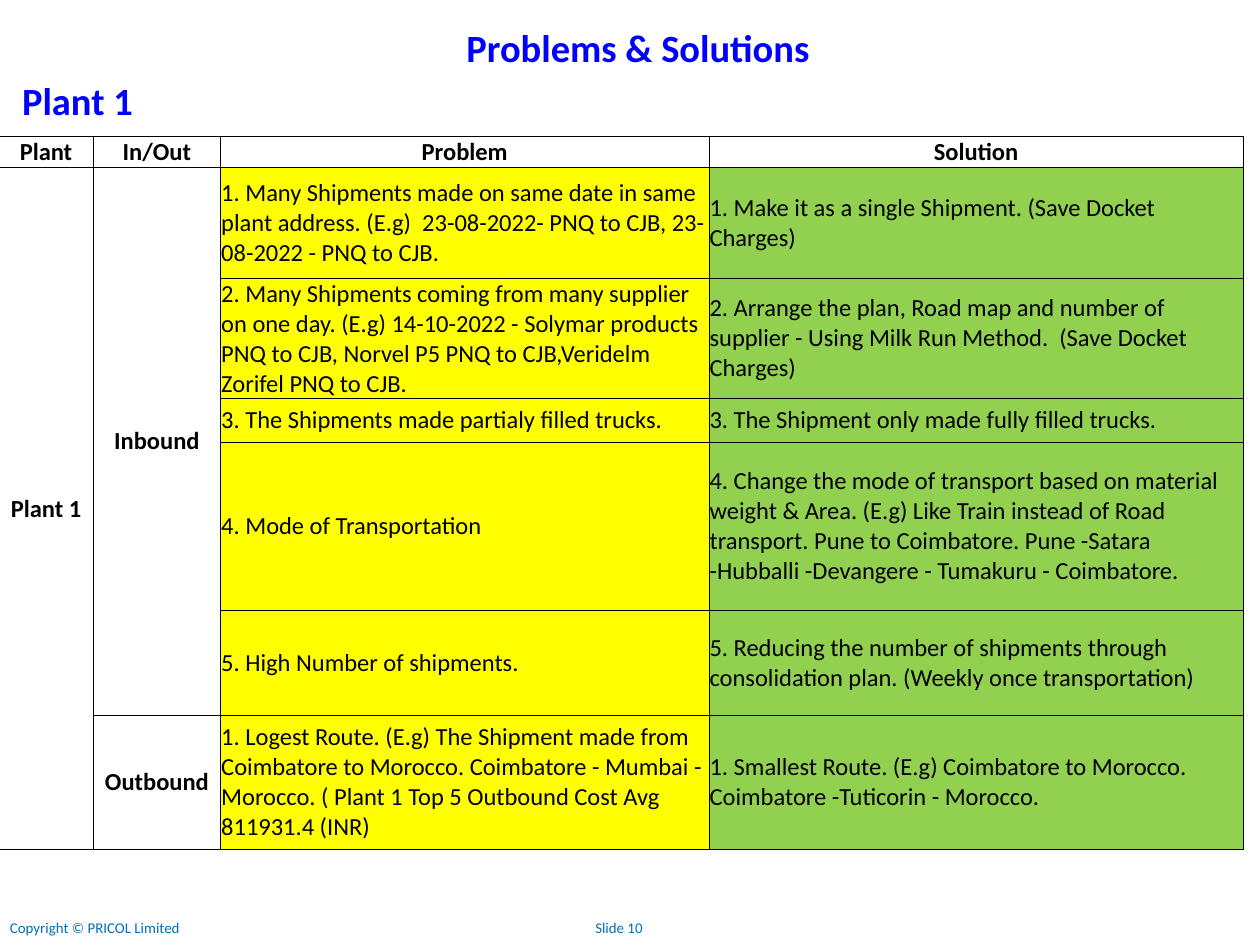
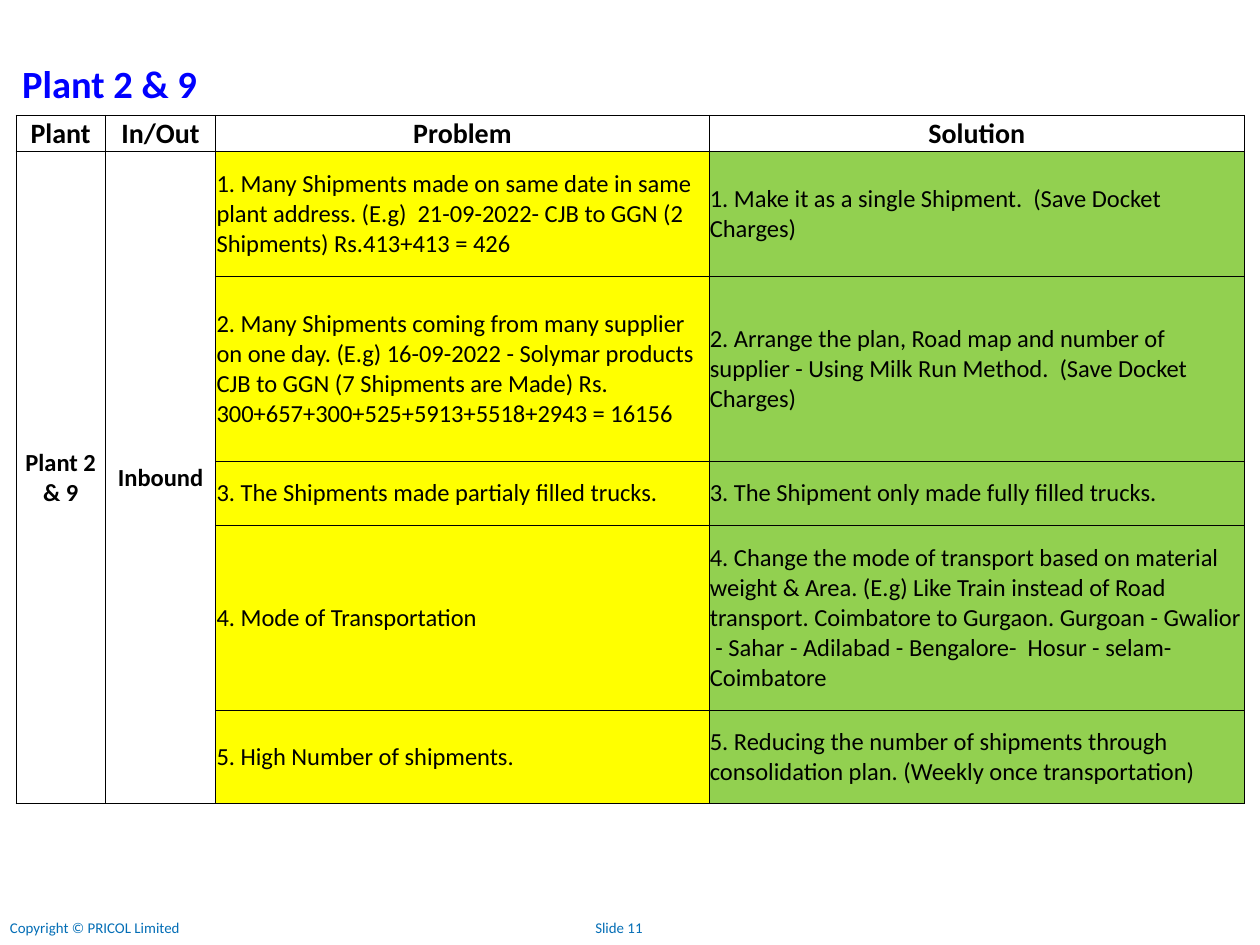
"""Build the two slides of plant shipping problems and solutions."""
from lxml.etree import SubElement
from pptx import Presentation
from pptx.dml.color import RGBColor
from pptx.enum.text import MSO_ANCHOR, PP_ALIGN
from pptx.oxml.ns import qn
from pptx.util import Cm, Pt

BLUE = RGBColor(0x00, 0x00, 0xFF)
FOOT = RGBColor(0x04, 0x6E, 0xB6)
BLACK = RGBColor(0x00, 0x00, 0x00)
YELLOW = RGBColor(0xFF, 0xFF, 0x00)
GREEN = RGBColor(0x92, 0xD0, 0x50)
FILLS = (None, None, YELLOW, GREEN)

HEAD = ("Plant", "In/Out", "Problem", "Solution")
MILK = "2. Arrange the plan, Road map and number of supplier - Using Milk Run Method.  (Save Docket Charges)"
TRUCKS = ("", "", "3. The Shipments made partialy filled trucks.",
          "3. The Shipment only made fully filled trucks.")
MODE = "4. Mode of Transportation"
MERGER = ("", "", "5. High Number of shipments.",
          "5. Reducing the number of shipments through consolidation plan. (Weekly once transportation)")

PLANTS = [
    {
        "number": 10,
        "title": ("Problems & Solutions", 14.4, 0.84, 22.66, PP_ALIGN.CENTER),
        "label": ("Plant 1", 0.64, 2.97, 9.09),
        "place": (-0.05, 5.51),
        "cols": (3.81, 5.13, 19.69, 21.54),
        "heights": (1.24, 4.47, 4.83, 1.78, 6.76, 4.24, 5.41),
        "size": 28,
        "rows": [
            HEAD,
            ("Plant 1", "Inbound",
             "1. Many Shipments made on same date in same plant address. (E.g)  23-08-2022- PNQ to CJB, "
             "23-08-2022 - PNQ to CJB.",
             "1. Make it as a single Shipment. (Save Docket Charges)"),
            ("", "",
             "2. Many Shipments coming from many supplier on one day. (E.g) 14-10-2022 - Solymar products "
             "PNQ to CJB, Norvel P5 PNQ to CJB,Veridelm Zorifel PNQ to CJB.", MILK),
            TRUCKS,
            ("", "", MODE,
             "4. Change the mode of transport based on material weight & Area. (E.g) Like Train instead of "
             "Road transport. Pune to Coimbatore. Pune -Satara -Hubballi -Devangere - Tumakuru - Coimbatore."),
            MERGER,
            ("", "Outbound",
             "1. Logest Route. (E.g) The Shipment made from Coimbatore to Morocco. Coimbatore - Mumbai - "
             "Morocco. ( Plant 1 Top 5 Outbound Cost Avg 811931.4 (INR)",
             "1. Smallest Route. (E.g) Coimbatore to Morocco. Coimbatore -Tuticorin - Morocco."),
        ],
    },
    {
        "number": 11,
        "title": ("Plant 2 & 9", 0.64, 2.31, 14.6, PP_ALIGN.LEFT),
        "label": None,
        "place": (0.64, 4.65),
        "cols": (3.61, 4.45, 19.89, 21.59),
        "heights": (1.47, 5, 7.47, 2.59, 7.47, 3.76),
        "size": 32,
        "rows": [
            HEAD,
            ("Plant 2 & 9", "Inbound",
             "1. Many Shipments made on same date in same plant address. (E.g)  21-09-2022- CJB to GGN "
             "(2 Shipments) Rs.413+413 = 426",
             "1. Make it as a single Shipment.  (Save Docket Charges)"),
            ("", "",
             "2. Many Shipments coming from many supplier on one day. (E.g) 16-09-2022 - Solymar products "
             "CJB to GGN (7 Shipments are Made) Rs. 300+657+300+525+5913+5518+2943 = 16156", MILK),
            TRUCKS,
            ("", "", MODE,
             "4. Change the mode of transport based on material weight & Area. (E.g) Like Train instead of "
             "Road transport. Coimbatore to Gurgaon. Gurgoan - Gwalior  - Sahar - Adilabad - Bengalore-  "
             "Hosur - selam- Coimbatore"),
            MERGER,
        ],
    },
]


def write(frame, text, size, color, bold=False, align=PP_ALIGN.LEFT):
    frame.text = text
    frame.word_wrap = True
    para = frame.paragraphs[0]
    para.alignment = align
    for run in para.runs:
        font = run.font
        font.name, font.size, font.bold = "Calibri", Pt(size), bold
        font.color.rgb = color


def edge(cell, side, width):
    line = SubElement(cell._tc.get_or_add_tcPr(), qn(f"a:ln{side}"), w=str(Pt(width)))
    fill = SubElement(line, qn("a:solidFill"))
    SubElement(fill, qn("a:srgbClr"), val=str(BLACK))


deck = Presentation()
deck.slide_width, deck.slide_height = Cm(50.8), Cm(38.1)
layout = deck.slide_layouts[5]

for plant in PLANTS:
    slide = deck.slides.add_slide(layout)
    text, left, top, width, align = plant["title"]
    title = slide.shapes.title
    title.left, title.top, title.width, title.height = Cm(left), Cm(top), Cm(width), Cm(2.2)
    title.text_frame.vertical_anchor = MSO_ANCHOR.TOP
    write(title.text_frame, text, 44, BLUE, True, align)

    if plant["label"]:
        text, left, top, width = plant["label"]
        label = slide.shapes.add_textbox(Cm(left), Cm(top), Cm(width), Cm(2.13))
        write(label.text_frame, text, 44, BLUE, True)

    for text, left, width in (("Copyright © PRICOL Limited", 0.15, 7.9),
                              (f"Slide {plant['number']}", 23.75, 3.3)):
        foot = slide.shapes.add_textbox(Cm(left), Cm(36.9), Cm(width), Cm(1))
        write(foot.text_frame, text, 17, FOOT)

    rows, cols, heights = plant["rows"], plant["cols"], plant["heights"]
    left, top = plant["place"]
    table = slide.shapes.add_table(len(rows), len(cols), Cm(left), Cm(top),
                                   Cm(sum(cols)), Cm(sum(heights))).table
    table.first_row = table.horz_banding = False
    for col, width in zip(table.columns, cols):
        col.width = Cm(width)
    for row, height in zip(table.rows, heights):
        row.height = Cm(height)

    last = len(rows) - 1
    for c in range(2):
        starts = [r for r in range(1, len(rows)) if rows[r][c]]
        for start, stop in zip(starts, starts[1:] + [len(rows)]):
            if stop - start > 1:
                table.cell(start, c).merge(table.cell(stop - 1, c))

    for r, row in enumerate(rows):
        for c, text in enumerate(row):
            cell = table.cell(r, c)
            cell.margin_left = cell.margin_right = cell.margin_top = Cm(0.03)
            cell.margin_bottom = 0
            cell.vertical_anchor = MSO_ANCHOR.MIDDLE
            end = r + cell.span_height - 1
            edge(cell, "L", 1)
            edge(cell, "R", 1)
            edge(cell, "T", 1 if r < 2 else 0.5)
            edge(cell, "B", 1 if end in (0, last) else 0.5)
            if r and FILLS[c]:
                cell.fill.solid()
                cell.fill.fore_color.rgb = FILLS[c]
            else:
                cell.fill.background()
            strong = r == 0 or c < 2
            if text:
                write(cell.text_frame, text, 28 if r else plant["size"], BLACK, strong,
                      PP_ALIGN.CENTER if strong else PP_ALIGN.LEFT)

deck.save("out.pptx")
